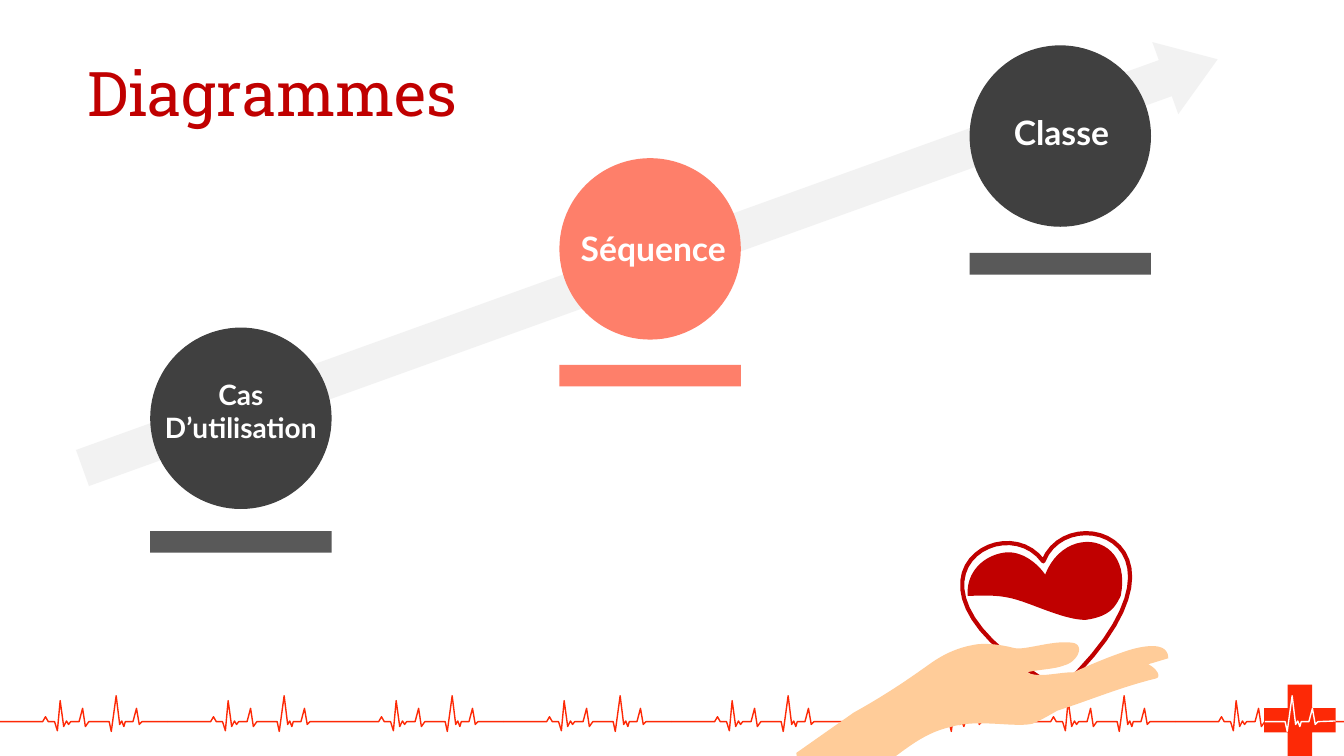
import pptx
import pptx.util
import pptx.dml.color
import pptx.enum.shapes
import pptx.enum.text

Pt = pptx.util.Pt
RGB = pptx.dml.color.RGBColor
KIND = pptx.enum.shapes.MSO_SHAPE
TEXT = pptx.enum.text

WHITE = RGB(0xFF, 0xFF, 0xFF)
PULSE = RGB(0xFD, 0x29, 0x06)
BLOOD = RGB(0xC0, 0x00, 0x00)
SKIN = RGB(0xFF, 0xCC, 0x99)
PALE = RGB(0xF2, 0xF2, 0xF2)
DARK = RGB(0x40, 0x40, 0x40)
GREY = RGB(0x59, 0x59, 0x59)
CORAL = RGB(0xFE, 0x7F, 0x6A)

deck = pptx.Presentation()
deck.slide_width, deck.slide_height = Pt(960), Pt(540)
slide = deck.slides.add_slide(deck.slide_layouts[6])
shapes = slide.shapes


def paint(shape, fill=None, line=None, width=1):
    """Set fill and line, either of which may be absent, and drop the shadow."""
    shape.shadow.inherit = False
    if fill is None:
        shape.fill.background()
    else:
        shape.fill.solid()
        shape.fill.fore_color.rgb = fill
    if line is None:
        shape.line.fill.background()
    else:
        shape.line.color.rgb = line
        shape.line.width = Pt(width)


def write(text, box, size, font, color, bold=False, align=None, grow=False, gap=None, before=None):
    """Add a text box with one paragraph for each line of text."""
    frame = shapes.add_textbox(*map(Pt, box)).text_frame
    frame.word_wrap = True
    frame.vertical_anchor = TEXT.MSO_ANCHOR.MIDDLE
    if grow:
        frame.auto_size = TEXT.MSO_AUTO_SIZE.SHAPE_TO_FIT_TEXT
    frame.text = text
    for para in frame.paragraphs:
        para.alignment = align
        para.line_spacing = gap
        para.space_before = before
        face = para.runs[0].font
        face.name, face.size, face.bold = font, Pt(size), bold
        face.color.rgb = color


# Red cross and heartbeat along the bottom
cross = shapes.add_shape(KIND.CROSS, Pt(903), Pt(489), Pt(51), Pt(51))
cross.adjustments[0] = 0.33
paint(cross, PULSE)

BASE, PITCH = 515.5, 120
beat = [(0, 0), (30.5, 0), (32.5, -3.5), (34.5, 0), (39, 0), (41, 6.5), (43, -15),
        (45.5, 3.5), (47.5, -0.5), (49, 2), (50.5, 0), (56.5, 0), (59, -9.5),
        (61, 3.5), (63.5, 0), (78, 0), (79.5, 7), (83, -18.5), (85.5, 2),
        (87, -0.5), (88.5, 3.5), (89.5, 0), (95, 0), (97.5, -9.5), (99.5, 2),
        (101.5, 0), (120, 0)]
waves = [(i * PITCH, beat, PULSE) for i in range(8)]
waves.append((7 * PITCH, beat[14:-1] + [(114, -0.5)], WHITE))
for left, wave, color in waves:
    dots = [(Pt(left + x), Pt(BASE + y)) for x, y in wave]
    pen = shapes.build_freeform(*dots[0])
    pen.add_line_segments(dots[1:], close=False)
    paint(pen.convert_to_shape(), line=color)

# Rising arrow
arrow = shapes.add_shape(KIND.DOWN_ARROW, Pt(437), Pt(-242.6), Pt(54.7), Pt(861.8))
arrow.adjustments[0], arrow.adjustments[1] = 0.5, 0.726
arrow.rotation = 250.2
paint(arrow, PALE)

# Steps: left, circle top, bar top, circle and bar colours, label, its box and size
SIDE = 129.6
steps = [
    (107.3, 234, 379.4, DARK, GREY, "Cas\nD’utilisation", (107.3, 265.7, SIDE, 55.4), 20),
    (692.6, 32.4, 180.7, DARK, GREY, "Classe", (700.6, 76.3, 115.2, 36), 24),
    (399.6, 113, 260.6, CORAL, CORAL, "Séquence", (401.8, 159.1, SIDE, 36), 24),
]
for left, top, under, disc, bar, label, box, size in steps:
    paint(shapes.add_shape(KIND.OVAL, Pt(left), Pt(top), Pt(SIDE), Pt(SIDE)), disc)
    write(label, box, size, "Lato", WHITE, bold=True, align=TEXT.PP_ALIGN.CENTER, grow=True)
    paint(shapes.add_shape(KIND.RECTANGLE, Pt(left), Pt(under), Pt(SIDE), Pt(15.4)), bar)

write("Diagrammes", (55.4, 40.3, 307.4, 56.9), 44, "Roboto Slab", BLOOD, gap=0.9, before=Pt(10))

# Heart in hand: after the start, two numbers make a line and six a Bézier curve
liquid = [
    (718.6, 394.6), (728.6, 393.8, 739.4, 400.3, 746.6, 410.4),
    (761, 373.7, 809.3, 381.6, 800.6, 425.5), (796.3, 434.9, 791.3, 440.6, 775.4, 442.8),
    (758.9, 442.8, 735.1, 429.8, 720.7, 427), (707, 424.1, 692.6, 426.2, 691.2, 425.5),
    (691.2, 421.9), (691.9, 406.1, 704.9, 396, 718.6, 394.6),
]
heart = [
    (745.2, 401), (763.2, 355, 867.6, 388.8, 757.4, 492.5),
    (624.2, 419.8, 716.4, 360.7, 745.2, 401),
]
hand = [
    (699.1, 460.1), (709.9, 459.4, 718.6, 461.5, 725, 463),
    (733.7, 464.4, 753.8, 456.5, 767.5, 459.4), (774.7, 462.2, 769, 473, 760.3, 475.2),
    (753.1, 478.1, 742.3, 478.1, 733.7, 480.2), (741.6, 484.6, 755.3, 480.2, 766.8, 480.2),
    (781.2, 473.8, 791.3, 469.4, 806.4, 464.4), (820.8, 460.1, 834.5, 459.4, 834.5, 470.2),
    (820.1, 474.5), (825.1, 476.6, 830.2, 483.1, 825.8, 484.6),
    (799.9, 491, 779.8, 499.7, 755.3, 507.6), (750.2, 510.5, 741.6, 515.5, 737.3, 517),
    (723.6, 519.8, 699.1, 513.4, 679.7, 519.1), (659.5, 523.4, 646.6, 535.7, 632.9, 545),
    (625.7, 550.1, 619.9, 555.1, 613.4, 560.9), (609.1, 565.2), (573.1, 569.5),
    (568.8, 537.8), (609.8, 509), (632.9, 496.1, 646.6, 486.7, 663.8, 474.5),
    (676.8, 465.1, 688.3, 461.5, 699.1, 460.1),
]
PARTS = 24
for curve, fill, line in [(liquid, BLOOD, None), (heart, None, BLOOD), (hand, SKIN, None)]:
    dots = [curve[0]]
    for step in curve[1:]:
        if len(step) == 2:
            dots.append(step)
            continue
        ends = dots[-1] + step
        for i in range(1, PARTS + 1):
            t = i / PARTS
            u = 1 - t
            mix = (u ** 3, 3 * u * u * t, 3 * u * t * t, t ** 3)
            dots.append(tuple(sum(m * v for m, v in zip(mix, ends[k::2])) for k in (0, 1)))
    dots = [(Pt(x), Pt(y)) for x, y in dots]
    pen = shapes.build_freeform(*dots[0])
    pen.add_line_segments(dots[1:], close=True)
    paint(pen.convert_to_shape(), fill, line, 3)

deck.save("out.pptx")
